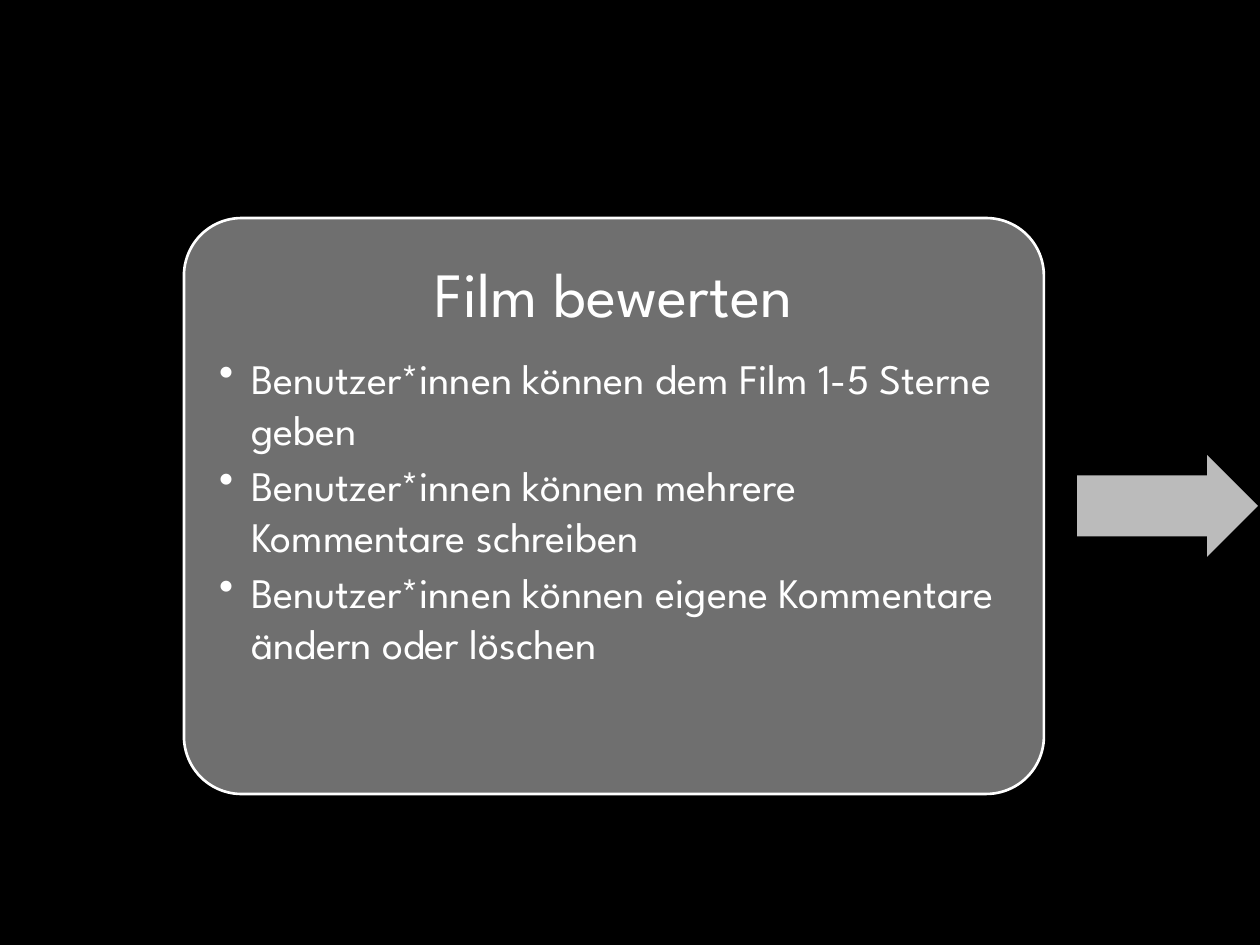
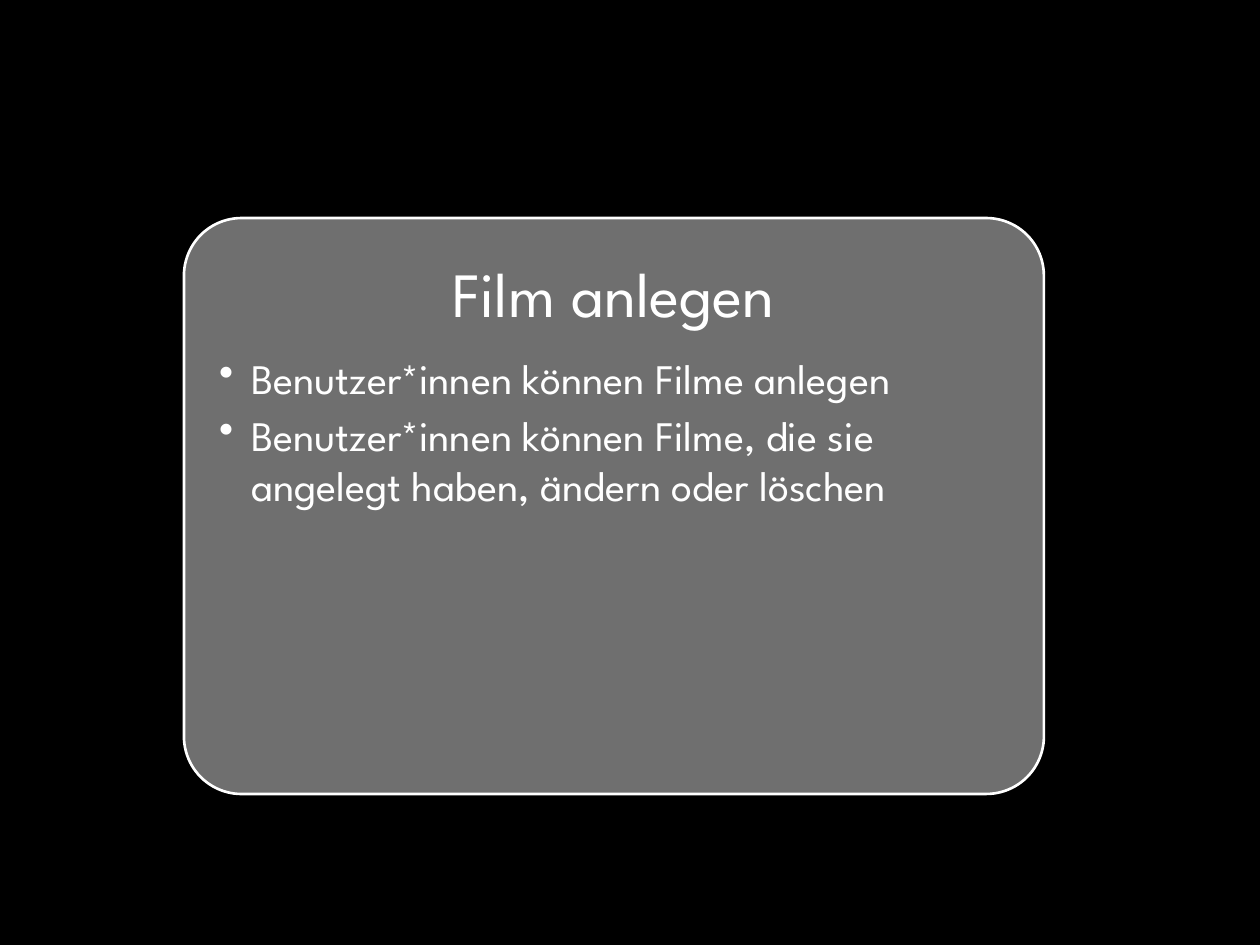
from pptx import Presentation
from pptx import util as u
from pptx.dml.color import RGBColor
from pptx.enum import shapes, text
from pptx.oxml.ns import qn
from lxml import etree

# Content: one feature per slide
FEATURES = [
    {"heading": "Film bewerten",
     "rules": ["Benutzer*innen können dem Film 1-5 Sterne geben",
               "Benutzer*innen können mehrere Kommentare schreiben",
               "Benutzer*innen können eigene Kommentare ändern oder löschen"]},
    {"heading": "Film anlegen",
     "rules": ["Benutzer*innen können Filme anlegen",
               "Benutzer*innen können Filme, die sie angelegt haben, "
               "ändern oder löschen"]},
]

# Shared style
BLACK = RGBColor(0x00, 0x00, 0x00)
WHITE = RGBColor(0xFF, 0xFF, 0xFF)
CARD_GREY = RGBColor(0x6F, 0x6F, 0x6F)
ARROW_GREY = RGBColor(0xBB, 0xBB, 0xBB)
FONT = "League Spartan"
HEADING_SIZE, RULE_SIZE = 36, 24

# Geometry in px: left, top, width, height
PX = u.Inches(1) // 126
SLIDE = (1260, 945)
CARD = (184, 218, 860, 576)
CARD_TEXT = (200, 236, 827, 543)
NEXT_ARROW = (1077, 455, 181, 102)
INSET = 19
BULLET_INDENT = 32


def px(lengths):
    return [length * PX for length in lengths]


def add_plain_shape(slide, preset, box, fill, adjustments):
    shape = slide.shapes.add_shape(preset, *px(box))
    shape.shadow.inherit = False
    shape.fill.solid()
    shape.fill.fore_color.rgb = fill
    shape.line.fill.background()
    for i, value in enumerate(adjustments):
        shape.adjustments[i] = value
    return shape


def style_paragraph(paragraph, size, gap):
    paragraph.font.name = FONT
    paragraph.font.size = u.Pt(size)
    paragraph.font.color.rgb = WHITE
    paragraph.space_after = u.Pt(size * gap)


def add_bullet(paragraph):
    paragraph.level = 1
    props = paragraph._p.get_or_add_pPr()
    props.set("marL", str(BULLET_INDENT * PX))
    props.set("indent", str(-BULLET_INDENT * PX))
    etree.SubElement(props, qn("a:buChar")).set("char", "•")


def add_card(slide, feature):
    card = add_plain_shape(slide, shapes.MSO_SHAPE.ROUNDED_RECTANGLE,
                           CARD, CARD_GREY, [0.1])
    card.line.color.rgb = WHITE
    card.line.width = u.Pt(1.5)

    frame = slide.shapes.add_textbox(*px(CARD_TEXT)).text_frame
    frame.word_wrap = True
    frame.vertical_anchor = text.MSO_ANCHOR.TOP
    frame.margin_left = frame.margin_right = INSET * PX
    frame.margin_top = frame.margin_bottom = INSET * PX

    heading = frame.paragraphs[0]
    heading.text = feature["heading"]
    heading.alignment = text.PP_ALIGN.CENTER
    style_paragraph(heading, HEADING_SIZE, 0.35)
    for rule in feature["rules"]:
        paragraph = frame.add_paragraph()
        paragraph.text = rule
        style_paragraph(paragraph, RULE_SIZE, 0.15)
        add_bullet(paragraph)


def main():
    deck = Presentation()
    deck.slide_width, deck.slide_height = px(SLIDE)
    blank = deck.slide_layouts[6]
    background = deck.slide_master.background.fill
    background.solid()
    background.fore_color.rgb = BLACK

    for number, feature in enumerate(FEATURES, 1):
        slide = deck.slides.add_slide(blank)
        add_card(slide, feature)
        # Every feature but the last points on to the next one
        if number < len(FEATURES):
            add_plain_shape(slide, shapes.MSO_SHAPE.RIGHT_ARROW,
                            NEXT_ARROW, ARROW_GREY, [0.6, 0.5])
    deck.save("out.pptx")


if __name__ == "__main__":
    main()
